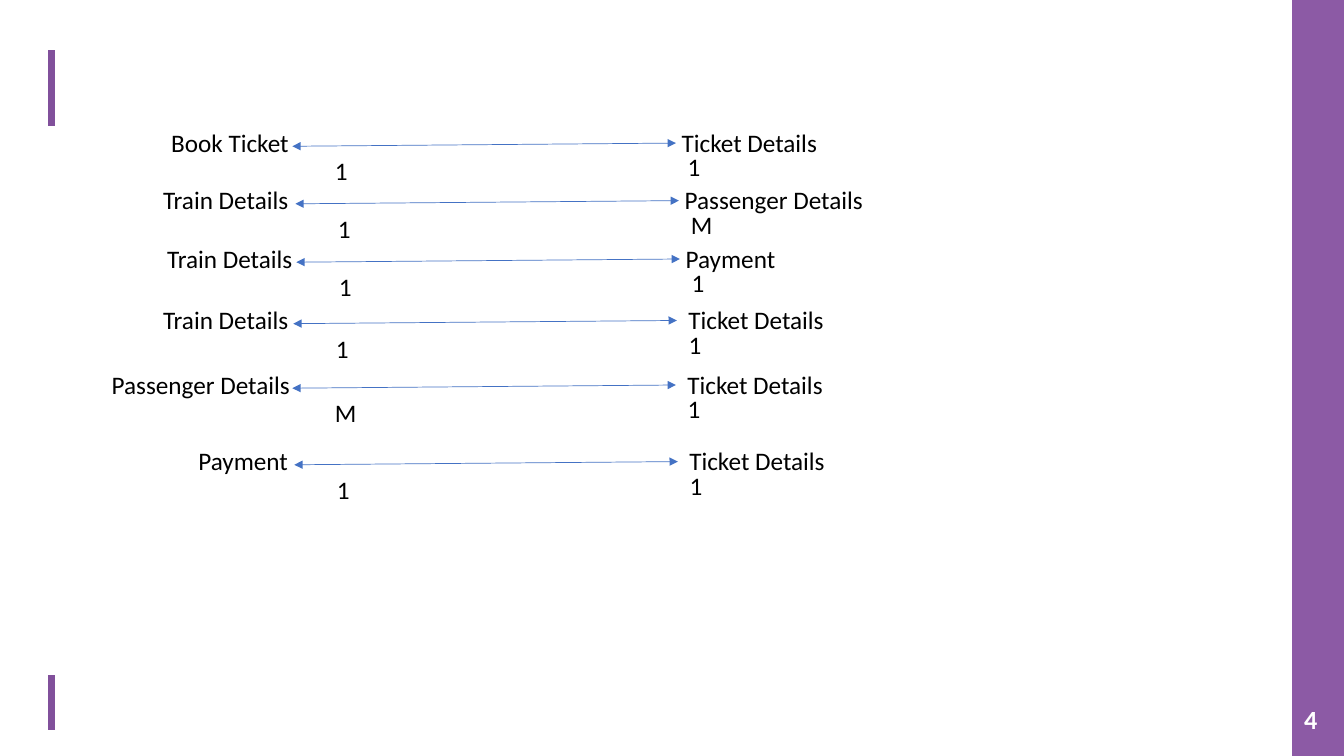
from typing import NamedTuple

from lxml.etree import SubElement
from pptx import Presentation
from pptx.dml.color import RGBColor
from pptx.enum.shapes import MSO_CONNECTOR, MSO_SHAPE
from pptx.oxml.ns import qn
from pptx.shapes.connector import Connector
from pptx.slide import Slide
from pptx.text.text import _Paragraph as Paragraph
from pptx.util import Pt

BLACK = RGBColor(0x00, 0x00, 0x00)
WHITE = RGBColor(0xFF, 0xFF, 0xFF)
ARROW_BLUE = RGBColor(0x44, 0x72, 0xC4)
BAR_PURPLE = RGBColor(0x81, 0x50, 0x9B)
STRIP_PURPLE = RGBColor(0x8C, 0x5A, 0xA5)

FONT = "Calibri"
LABEL_HEIGHT = 29
TARGET_WIDTH = 160
COUNT_WIDTH = 26
INSET = 7.2
ARROW_LENGTH = 274
ARROW_RISE = 2.3


class Relation(NamedTuple):
    source: str
    source_count: str
    target: str
    target_count: str
    top: float
    source_left: float
    source_width: float
    arrow_left: float
    target_indent: float = 0


RELATIONS = [
    Relation("Book Ticket", "1", "Ticket Details", "1", 87.1, 115.2, 119.5, 208.8),
    Relation("Train Details", "1", "Passenger Details", "M", 128.2, 109.4, 119.5, 211),
    Relation("Train Details", "1", "Payment", "1", 169.9, 112.3, 115.2, 211.7),
    Relation("Train Details", "1", "Ticket Details", "1", 213.8, 109.4, 110.2, 209.5, 4),
    Relation("Passenger Details", "M", "Ticket Details", "1", 259.9, 72.7, 153.4, 208.8, 4),
    Relation("Payment", "1", "Ticket Details", "1", 314.6, 134.6, 92.9, 210.2, 4),
]


def style(para: Paragraph, size: float, color: RGBColor, bold: bool = False) -> None:
    para.font.name = FONT
    para.font.size = Pt(size)
    para.font.bold = bold
    para.font.color.rgb = color


def add_label(page: Slide, text: str, left: float, top: float, width: float,
              indent: float = 0) -> None:
    box = page.shapes.add_textbox(Pt(left), Pt(top), Pt(width), Pt(LABEL_HEIGHT))
    frame = box.text_frame
    frame.word_wrap = True
    frame.margin_left = Pt(INSET + indent)
    frame.text = text
    style(frame.paragraphs[0], 18, BLACK)


def add_line(page: Slide, x1: float, y1: float, x2: float, y2: float,
             color: RGBColor, width: float) -> Connector:
    line = page.shapes.add_connector(
        MSO_CONNECTOR.STRAIGHT, Pt(x1), Pt(y1), Pt(x2), Pt(y2))
    line.line.color.rgb = color
    line.line.width = Pt(width)
    SubElement(line._element.spPr, qn("a:effectLst"))
    return line


def add_double_arrow(page: Slide, left: float, top: float) -> None:
    arrow = add_line(page, left, top, left + ARROW_LENGTH, top - ARROW_RISE,
                     ARROW_BLUE, 0.5)
    outline = arrow.line._get_or_add_ln()
    for end in ("a:headEnd", "a:tailEnd"):
        SubElement(outline, qn(end), type="triangle")


def add_relation(page: Slide, relation: Relation) -> None:
    top, left = relation.top, relation.arrow_left
    right = left + ARROW_LENGTH
    add_label(page, relation.source, relation.source_left, top, relation.source_width)
    add_label(page, relation.target, right - 3, top, TARGET_WIDTH, relation.target_indent)
    add_double_arrow(page, left, top + 17.4)
    add_label(page, relation.source_count, left + 23.3, top + 20.4, COUNT_WIDTH)
    add_label(page, relation.target_count, right + 1.3, top + 17.6, COUNT_WIDTH)


def add_frame(page: Slide) -> None:
    """Draw the side bars, the right strip and the page number."""
    for top, bottom in ((36, 90), (482.4, 521.3)):
        add_line(page, 36.7, top, 36.7, bottom, BAR_PURPLE, 5)

    strip = page.shapes.add_shape(
        MSO_SHAPE.RECTANGLE, Pt(923), Pt(0), Pt(37), Pt(540))
    strip.shadow.inherit = False
    strip.fill.solid()
    strip.fill.fore_color.rgb = STRIP_PURPLE
    strip.line.fill.background()

    number = page.shapes.add_textbox(Pt(926.6), Pt(500.4), Pt(31.7), Pt(27.4))
    frame = number.text_frame
    frame.word_wrap = False
    frame.margin_left = frame.margin_right = Pt(5)
    frame.margin_top = frame.margin_bottom = Pt(2.2)
    frame.text = "4"
    style(frame.paragraphs[0], 18.7, WHITE, bold=True)


def main() -> None:
    deck = Presentation()
    deck.slide_width, deck.slide_height = Pt(960), Pt(540)
    page = deck.slides.add_slide(deck.slide_layouts[6])
    add_frame(page)
    for relation in RELATIONS:
        add_relation(page, relation)
    deck.save("out.pptx")


if __name__ == "__main__":
    main()
